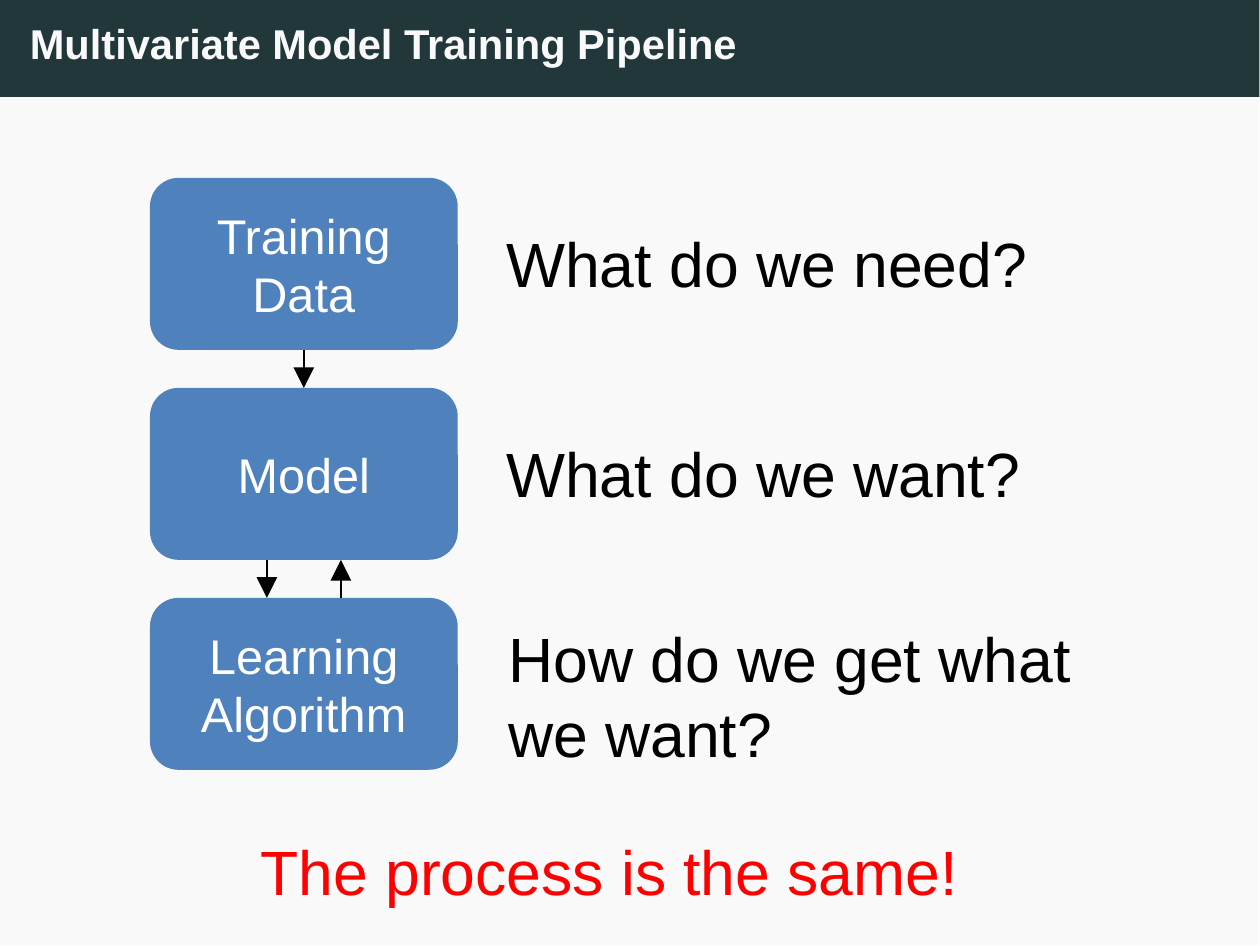
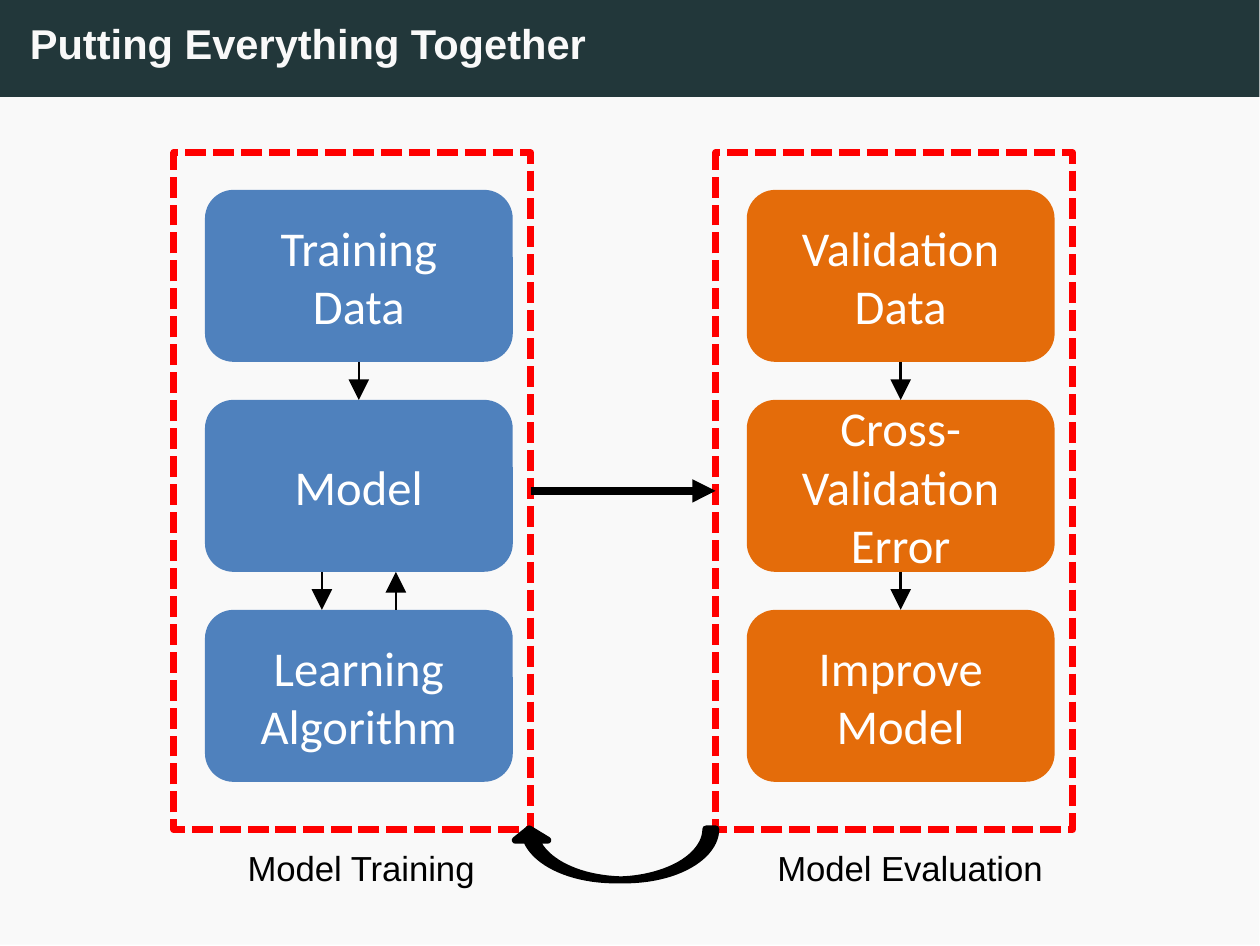
import pptx
import pptx.util
import pptx.dml.color
import pptx.enum.dml
import pptx.enum.shapes
import pptx.enum.text
import pptx.oxml

PX = 3657.6  # EMU per px, at 250 px to the inch
PAGE_W, PAGE_H, BAND_H = 1260, 945, 97
BLOCK_W, BLOCK_H, BLOCK_GAP = 308, 172, 38
PITCH = BLOCK_H + BLOCK_GAP
FRAME_W, FRAME_H = 357, 677
PAPER, BAND, BLACK, WHITE = "F9F9F9", "22373A", "000000", "FFFFFF"
BLUE, ORANGE, RED = "4F81BD", "E46C0A", "FF0000"
SHAPE = pptx.enum.shapes.MSO_SHAPE
TRAINING = ["Training Data", "Model", "Learning Algorithm"]
EVALUATION = ["Validation Data", "Cross-Validation Error", "Improve Model"]
ONE_WAY = [(BLOCK_W // 2, True)]  # offset from the block's left edge, pointing down
BOTH_WAYS = [(117, True), (191, False)]


def px(*lengths):
    return [pptx.util.Emu(round(length * PX)) for length in lengths]


def paint(colour_format, colour):
    colour_format.rgb = pptx.dml.color.RGBColor.from_string(colour)


def write(shape, text, size, colour, font="Arial", bold=False):
    shape.text_frame.word_wrap = True
    para = shape.text_frame.paragraphs[0]
    para.text = text
    para.font.name, para.font.size, para.font.bold = font, pptx.util.Pt(size), bold
    paint(para.font.color, colour)
    return para


def add_label(page, box, text, size, colour=BLACK):
    write(page.shapes.add_textbox(*px(*box)), text, size, colour)


def add_shape(page, kind, box, fill=None, line=None):
    shape = page.shapes.add_shape(kind, *px(*box))
    shape.shadow.inherit = False
    if fill:
        shape.fill.solid()
        paint(shape.fill.fore_color, fill)
    else:
        shape.fill.background()
    if line:
        paint(shape.line.color, line)
        shape.line.width = pptx.util.Pt(2)
    else:
        shape.line.fill.background()
    return shape


def add_arrow(page, start, end, width=0.75):
    arrow = page.shapes.add_connector(
        pptx.enum.shapes.MSO_CONNECTOR.STRAIGHT, *px(*start, *end))
    paint(arrow.line.color, BLACK)
    arrow.line.width = pptx.util.Pt(width)
    ns = 'xmlns:a="http://schemas.openxmlformats.org/drawingml/2006/main"'
    arrow.line._get_or_add_ln().append(
        pptx.oxml.parse_xml(f'<a:tailEnd {ns} type="triangle"/>'))
    arrow._element.spPr.append(pptx.oxml.parse_xml(f"<a:effectLst {ns}/>"))


def add_page(deck, title):
    """A page with its paper, title band and title."""
    page = deck.slides.add_slide(deck.slide_layouts[6])
    add_shape(page, SHAPE.RECTANGLE, (0, BAND_H, PAGE_W, PAGE_H - BAND_H), PAPER)
    add_shape(page, SHAPE.RECTANGLE, (0, 0, PAGE_W, BAND_H), BAND)
    box = page.shapes.add_textbox(*px(30, 18, 1200, 50))
    frame = box.text_frame
    frame.margin_left = frame.margin_right = frame.margin_top = frame.margin_bottom = 0
    write(box, title, 12, PAPER, bold=True)
    return page


def add_pipeline(page, left, top, names, colour, font, links):
    """A column of blocks, with the arrows of each link in the gaps."""
    for row, name in enumerate(names):
        box = (left, top + row * PITCH, BLOCK_W, BLOCK_H)
        block = add_shape(page, SHAPE.ROUNDED_RECTANGLE, box, colour)
        block.text_frame.vertical_anchor = pptx.enum.text.MSO_ANCHOR.MIDDLE
        para = write(block, name, 14, WHITE, font)
        para.alignment = pptx.enum.text.PP_ALIGN.CENTER
    for row, arrows in enumerate(links):
        upper = top + row * PITCH + BLOCK_H
        for offset, down in arrows:
            ends = [(left + offset, upper), (left + offset, upper + BLOCK_GAP)]
            add_arrow(page, *(ends if down else ends[::-1]))


def add_stage(page, left, top, names, colour, links):
    """A dashed frame around a pipeline."""
    frame = add_shape(page, SHAPE.RECTANGLE, (left, top, FRAME_W, FRAME_H), line=RED)
    frame.line.dash_style = pptx.enum.dml.MSO_LINE.SQUARE_DOT
    add_pipeline(page, left + 31, top + 37, names, colour, "Calibri", links)


def build_questions(deck):
    page = add_page(deck, "Multivariate Model Training Pipeline")
    add_pipeline(page, 150, 178, TRAINING, BLUE, "Arial", [ONE_WAY, BOTH_WAYS])
    add_label(page, (482, 213, 665, 101), "What do we need?", 18)
    add_label(page, (482, 423, 665, 101), "What do we want?", 18)
    add_label(page, (484, 608, 665, 177), "How do we get what we want?", 18)
    add_label(page, (236, 821, 788, 101), "The process is the same!", 18, RED)


def build_overview(deck):
    page = add_page(deck, "Putting Everything Together")
    left, right, top = 174, 716, 153
    add_stage(page, left, top, TRAINING, BLUE, [ONE_WAY, BOTH_WAYS])
    add_stage(page, right, top, EVALUATION, ORANGE, [ONE_WAY, ONE_WAY])
    add_label(page, (223, 835, 320, 67), "Model Training", 10)
    add_label(page, (753, 835, 320, 67), "Model Evaluation", 10)
    # Links between the two stages
    middle = top + FRAME_H // 2
    add_arrow(page, (left + FRAME_W, middle), (right, middle), 2.25)
    feedback = add_shape(page, SHAPE.CURVED_DOWN_ARROW, (513, 829, 203, 51), BLACK, BLACK)
    feedback.rotation = 180
    for index, value in enumerate((0.196, 0.639, 0.222)):
        feedback.adjustments[index] = value


def main():
    deck = pptx.Presentation()
    # The page is a hair larger than its bands
    deck.slide_width = pptx.util.Pt(363)
    deck.slide_height = pptx.util.Pt(272.5)
    build_questions(deck)
    build_overview(deck)
    deck.save("out.pptx")


if __name__ == "__main__":
    main()
